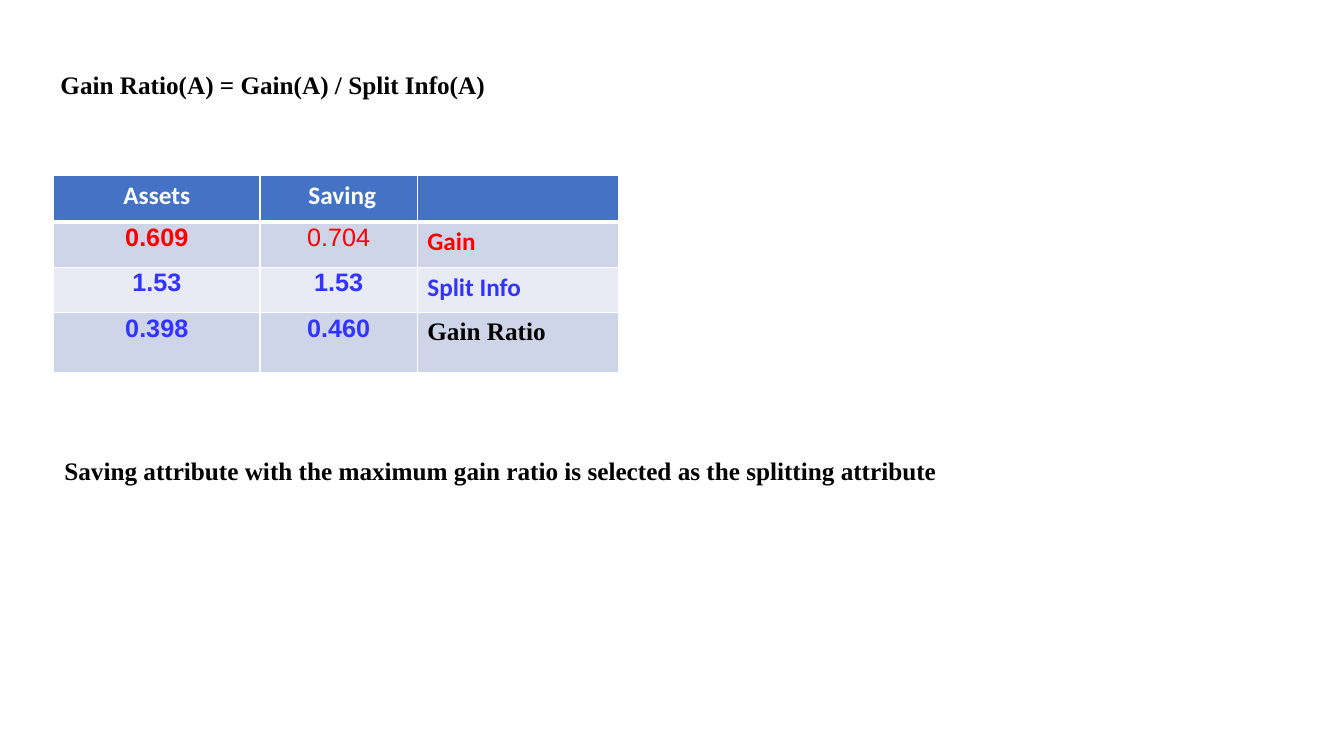
from lxml import etree
from pptx import Presentation
from pptx import util as u
from pptx.dml.color import RGBColor
from pptx.enum import text
from pptx.oxml.ns import qn

WHITE, BLACK, RED, VIOLET = "FFFFFF", "000000", "FF0000", "3333FF"
HEADER_FILL, DARK_BAND, LIGHT_BAND = "4472C4", "CFD5E9", "E8EBF4"
SANS, SERIF, DIGITS = "Calibri", "Times New Roman", "Arial"

FORMULA = "Gain Ratio(A) = Gain(A) / Split Info(A)"
CONCLUSION = ("Saving attribute with the maximum gain ratio "
              "is selected as the splitting attribute")
HEADINGS = ("Assets", "Saving ", "")
# Values, label, colour of values, colour and font of label
MEASURES = [
    (("0.609", "0.704"), "Gain", RED, RED, SANS),
    (("1.53", "1.53"), "Split Info", VIOLET, VIOLET, SANS),
    (("0.398", "0.460"), "Gain Ratio", VIOLET, BLACK, SERIF),
]
REGULAR_VALUES = {"0.704"}
COLUMN_WIDTHS = (2.05, 1.56, 2)
ROW_HEIGHTS = (0.46, 0.45, 0.45, 0.6)


def color(value):
    """Turn a hex string into a colour."""
    return RGBColor.from_string(value)


def add_run(paragraph, words, font, ink, bold=True):
    """Add one 18 point run to a paragraph."""
    run = paragraph.add_run()
    run.text = words
    run.font.size = u.Pt(18)
    run.font.name = font
    run.font.bold = bold
    run.font.color.rgb = color(ink)
    return run


def fill_statement(shape, words, left, top, width, indent=0):
    """Place a shape and write one bold line of text in it."""
    shape.left, shape.top = u.Inches(left), u.Inches(top)
    shape.width, shape.height = u.Inches(width), u.Inches(0.43)
    frame = shape.text_frame
    frame.word_wrap = True
    frame.auto_size = text.MSO_AUTO_SIZE.NONE
    frame.vertical_anchor = text.MSO_ANCHOR.TOP
    paragraph = frame.paragraphs[0]
    paragraph.alignment = text.PP_ALIGN.LEFT
    paragraph.line_spacing = 1.1
    paragraph.space_before = u.Pt(0)
    paragraph._p.get_or_add_pPr().set("marL", str(u.Inches(indent)))
    add_run(paragraph, words, SERIF, BLACK)


def set_borders(cell, bottom_width):
    """Draw white borders around a cell, ahead of its fill."""
    properties = cell._tc.get_or_add_tcPr()
    widths = {"lnL": 0.96, "lnR": 0.96, "lnT": 0.96, "lnB": bottom_width}
    for position, (side, width) in enumerate(widths.items()):
        line = etree.Element(qn("a:" + side), w=str(u.Pt(width)))
        solid = etree.SubElement(line, qn("a:solidFill"))
        etree.SubElement(solid, qn("a:srgbClr"), val=WHITE)
        properties.insert(position, line)


def fill_cell(cell, words, font, ink, background, centred, bottom_width=0.96):
    """Write and format one table cell."""
    cell.fill.solid()
    cell.fill.fore_color.rgb = color(background)
    set_borders(cell, bottom_width)
    paragraph = cell.text_frame.paragraphs[0]
    if centred:
        paragraph.alignment = text.PP_ALIGN.CENTER
        paragraph._p.get_or_add_pPr().set("rtl", "1")
    if words:
        run = add_run(paragraph, words, font, ink, words not in REGULAR_VALUES)
        if words[0].isdigit():
            cell.margin_top = u.Inches(0.02)
            etree.SubElement(run._r.get_or_add_rPr(), qn("a:cs"), typeface=DIGITS)


def add_measures(slide):
    """Add the table that compares the two attributes."""
    frame = slide.shapes.add_table(
        len(ROW_HEIGHTS), len(COLUMN_WIDTHS), u.Inches(0.53), u.Inches(1.74),
        u.Inches(sum(COLUMN_WIDTHS)), u.Inches(sum(ROW_HEIGHTS)))
    table = frame.table
    for column, width in zip(table.columns, COLUMN_WIDTHS):
        column.width = u.Inches(width)
    for row, height in zip(table.rows, ROW_HEIGHTS):
        row.height = u.Inches(height)
    for column, heading in enumerate(HEADINGS):
        fill_cell(table.cell(0, column), heading, SANS, WHITE, HEADER_FILL, True, 3)
    for row, (values, label, ink, label_ink, label_font) in enumerate(MEASURES, 1):
        band = DARK_BAND if row % 2 else LIGHT_BAND
        for column, value in enumerate(values):
            fill_cell(table.cell(row, column), value, SANS, ink, band, True)
        fill_cell(table.cell(row, len(values)), label, label_font, label_ink, band, False)


presentation = Presentation()
presentation.slide_width, presentation.slide_height = u.Inches(13.33), u.Inches(7.5)
slide = presentation.slides.add_slide(presentation.slide_layouts[5])
add_measures(slide)
fill_statement(slide.shapes.title, FORMULA, 0, 0.61, 6.67, indent=0.5)
conclusion = slide.shapes.add_textbox(0, 0, 0, 0)
fill_statement(conclusion, CONCLUSION, 0.54, 4.44, 10.83)
presentation.save("out.pptx")
